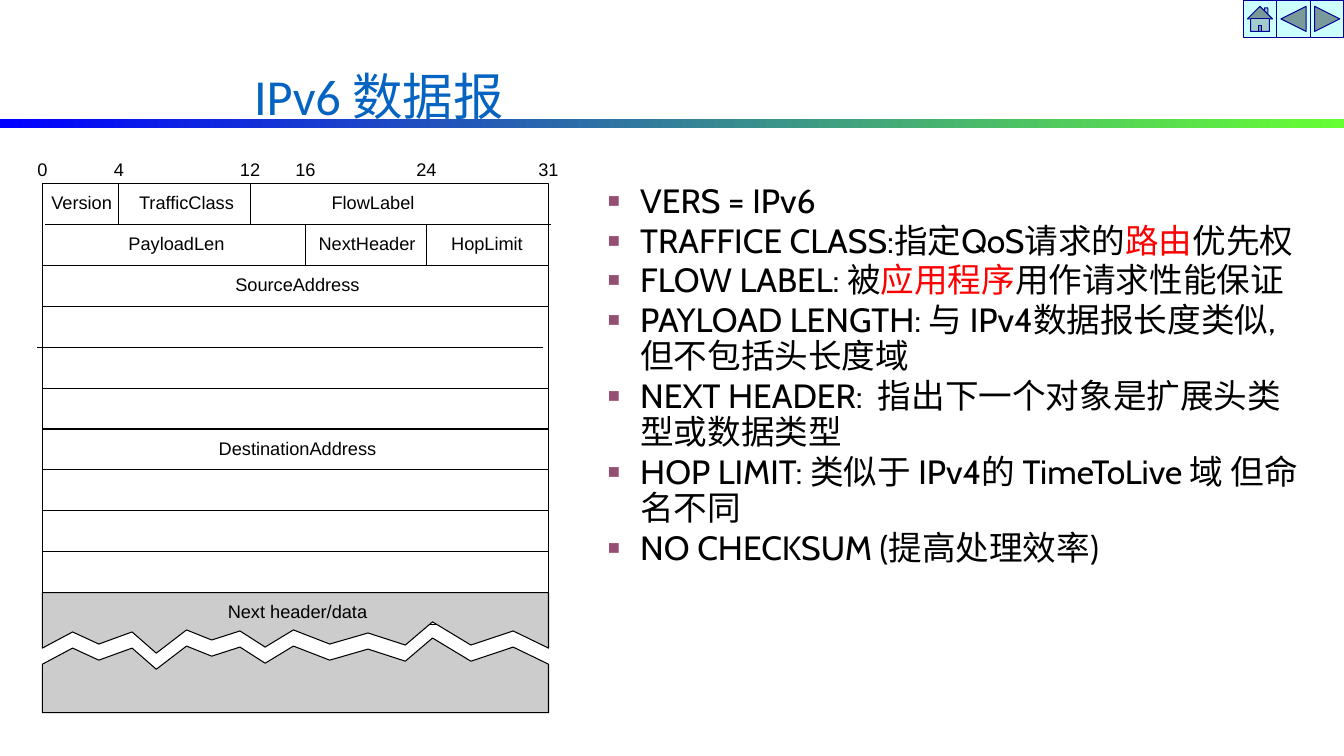
from lxml import etree
from pptx import Presentation
from pptx import util as u
from pptx.dml.color import RGBColor
from pptx.enum import shapes, text
from pptx.oxml.ns import qn

BLACK = RGBColor(0, 0, 0)
RED = RGBColor(0xFF, 0, 0)
TITLE_BLUE = RGBColor(0x05, 0x63, 0xC1)
PAYLOAD_GREY = RGBColor(0xCC, 0xCC, 0xCC)
BUTTON_FILL = RGBColor(0xCC, 0xFF, 0xFF)
BUTTON_EDGE = RGBColor(0, 0, 0x99)
BAND_START = RGBColor(0, 0, 0xFF)
BAND_END = RGBColor(0x66, 0xFF, 0x33)
BULLET = RGBColor(0x95, 0x4F, 0x72)

SLIDE_W, SLIDE_H = 13.33, 7.5
BIT_X = {0: 0.42, 4: 1.18, 12: 2.48, 16: 3.03, 24: 4.23, 31: 5.44}
LEFT, RIGHT = BIT_X[0], BIT_X[31]
MIDDLE = (LEFT + RIGHT) / 2
TOP, ROW_H, ROWS = 1.82, 0.406, 10
LABEL_H = 0.22
BREAK_GAP = 0.16
ROW_SHIFT = {1: 0.03, 4: -0.05}
DIVIDERS = [(4, 0), (12, 0), (16, 1), (24, 1)]
FIELDS = [
    ("Version", 0.81, 0), ("TrafficClass", 1.85, 0), ("FlowLabel", 3.7, 0),
    ("PayloadLen", 1.75, 1), ("NextHeader", 3.64, 1), ("HopLimit", 4.83, 1),
    ("SourceAddress", MIDDLE + 0.02, 2), ("DestinationAddress", MIDDLE + 0.02, 6),
]
TEAR = [
    (RIGHT, 6.43), (5.09, 6.26), (4.67, 6.4), (4.29, 6.17), (4.02, 6.4),
    (3.65, 6.28), (3.27, 6.39), (2.91, 6.25), (2.63, 6.42), (2.38, 6.26),
    (2.1, 6.35), (1.85, 6.25), (1.55, 6.48), (1.31, 6.27), (0.98, 6.39),
    (0.72, 6.27), (LEFT, 6.43),
]
NOTES = [
    [("VERS = IPv6", BLACK)],
    [("TRAFFICE CLASS:指定QoS请求的", BLACK), ("路由", RED), ("优先权", BLACK)],
    [("FLOW LABEL: 被", BLACK), ("应用程序", RED), ("用作请求性能保证", BLACK)],
    [("PAYLOAD LENGTH: 与 IPv4数据报长度类似, 但不包括头长度域", BLACK)],
    [("NEXT HEADER:  指出下一个对象是扩展头类型或数据类型", BLACK)],
    [("HOP LIMIT: 类似于 IPv4的 TimeToLive 域 但命名不同", BLACK)],
    [("NO CHECKSUM (提高处理效率)", BLACK)],
]


def row_y(row):
    return TOP + row * ROW_H


def box(*lengths):
    """Turn lengths in inches into slide units."""
    return [u.Inches(length) for length in lengths]


def write(paragraph, content, size=13, font="Arial", color=BLACK,
          align=text.PP_ALIGN.LEFT, spacing=None, before=None):
    """Fill a paragraph with a string or a list of (string, colour) pairs."""
    paragraph.alignment = align
    paragraph.line_spacing = spacing
    if before is not None:
        paragraph.space_before = u.Pt(before)
    pieces = [(content, color)] if isinstance(content, str) else content
    for words, shade in pieces:
        run = paragraph.add_run()
        run.text = words
        run.font.name, run.font.size = font, u.Pt(size)
        run.font.color.rgb = shade


def add_label(slide, words, center, top):
    width = 1.6
    label = slide.shapes.add_textbox(*box(center - width / 2, top, width, LABEL_H))
    frame = label.text_frame
    frame.word_wrap = False
    frame.margin_left = frame.margin_right = frame.margin_top = frame.margin_bottom = 0
    write(frame.paragraphs[0], words, align=text.PP_ALIGN.CENTER)


def style(shape, fill=None, edge=BLACK):
    shape.shadow.inherit = False
    if fill is None:
        shape.fill.background()
    else:
        shape.fill.solid()
        shape.fill.fore_color.rgb = fill
    shape.line.color.rgb = edge
    shape.line.width = u.Pt(0.75)


def add_rule(slide, x1, y1, x2, y2):
    rule = slide.shapes.add_connector(
        shapes.MSO_CONNECTOR.STRAIGHT, *box(x1, y1, x2, y2))
    rule.line.color.rgb = BLACK
    rule.line.width = u.Pt(0.75)
    etree.SubElement(rule._element.spPr, qn("a:effectLst"))


def add_payload_part(slide, flat_y, tear_shift):
    """Draw a grey block with one flat edge and one torn edge."""
    torn = [box(x, y + tear_shift) for x, y in TEAR]
    builder = slide.shapes.build_freeform(*box(LEFT, flat_y))
    builder.add_line_segments([box(RIGHT, flat_y)] + torn, close=True)
    style(builder.convert_to_shape(), PAYLOAD_GREY)


def add_bullet(paragraph):
    props = paragraph._p.get_or_add_pPr()
    props.set("marL", str(u.Inches(0.32)))
    props.set("indent", str(-u.Inches(0.32)))
    color = etree.SubElement(props, qn("a:buClr"))
    etree.SubElement(color, qn("a:srgbClr"), val=str(BULLET))
    etree.SubElement(props, qn("a:buSzPct"), val="60000")
    etree.SubElement(props, qn("a:buChar"), char="■")


def add_header_band(slide):
    kind = shapes.MSO_SHAPE
    buttons = [kind.ACTION_BUTTON_HOME, kind.ACTION_BUTTON_BACK_OR_PREVIOUS,
               kind.ACTION_BUTTON_FORWARD_OR_NEXT]
    side = SLIDE_W / 40
    for column, button in enumerate(buttons, start=37):
        style(slide.shapes.add_shape(button, *box(column * side, 0, side, SLIDE_H / 20)),
              BUTTON_FILL, BUTTON_EDGE)
    band = slide.shapes.add_shape(kind.RECTANGLE, *box(0, 1.18, SLIDE_W, 0.09))
    band.shadow.inherit = False
    band.line.fill.background()
    band.fill.gradient()
    band.fill.gradient_angle = 0
    for stop, color, position in zip(band.fill.gradient_stops, (BAND_START, BAND_END), (0, 1)):
        stop.color.rgb = color
        stop.position = position


def add_datagram(slide):
    for bit, x in BIT_X.items():
        add_label(slide, str(bit), x, 1.57)
    style(slide.shapes.add_shape(
        shapes.MSO_SHAPE.RECTANGLE, *box(LEFT, TOP, RIGHT - LEFT, 4.38)))
    for row in range(1, ROWS + 1):
        shift = ROW_SHIFT.get(row, 0)
        add_rule(slide, LEFT + shift, row_y(row), RIGHT + shift, row_y(row))
    for bit, row in DIVIDERS:
        add_rule(slide, BIT_X[bit], row_y(row), BIT_X[bit], row_y(row + 1))
    add_payload_part(slide, row_y(ROWS), 0)
    add_payload_part(slide, 7.07, BREAK_GAP)
    for words, center, row in FIELDS + [("Next header/data", MIDDLE + 0.02, ROWS)]:
        add_label(slide, words, center, row_y(row) + 0.08)


def place(placeholder, left, top, width, height):
    """Position a placeholder and return its top-anchored text frame."""
    (placeholder.left, placeholder.top,
     placeholder.width, placeholder.height) = box(left, top, width, height)
    frame = placeholder.text_frame
    frame.word_wrap = True
    frame.auto_size = text.MSO_AUTO_SIZE.NONE
    frame.vertical_anchor = text.MSO_ANCHOR.TOP
    return frame


def add_notes(body):
    frame = place(body, 5.93, 1.78, 7.13, 3.98)
    for index, note in enumerate(NOTES):
        paragraph = frame.add_paragraph() if index else frame.paragraphs[0]
        add_bullet(paragraph)
        write(paragraph, note, size=24, font="Cabin", spacing=0.9,
              before=2.4 if index else 0)


def main():
    deck = Presentation()
    deck.slide_width, deck.slide_height = box(SLIDE_W, SLIDE_H)
    slide = deck.slides.add_slide(deck.slide_layouts[1])
    add_header_band(slide)
    add_datagram(slide)
    heading = place(slide.shapes.title, 2.42, 0.66, 8.5, 1.25)
    write(heading.paragraphs[0], "IPv6 数据报", size=36, font="Calibri",
          color=TITLE_BLUE, spacing=0.9)
    add_notes(slide.placeholders[1])
    deck.save("out.pptx")


if __name__ == "__main__":
    main()
